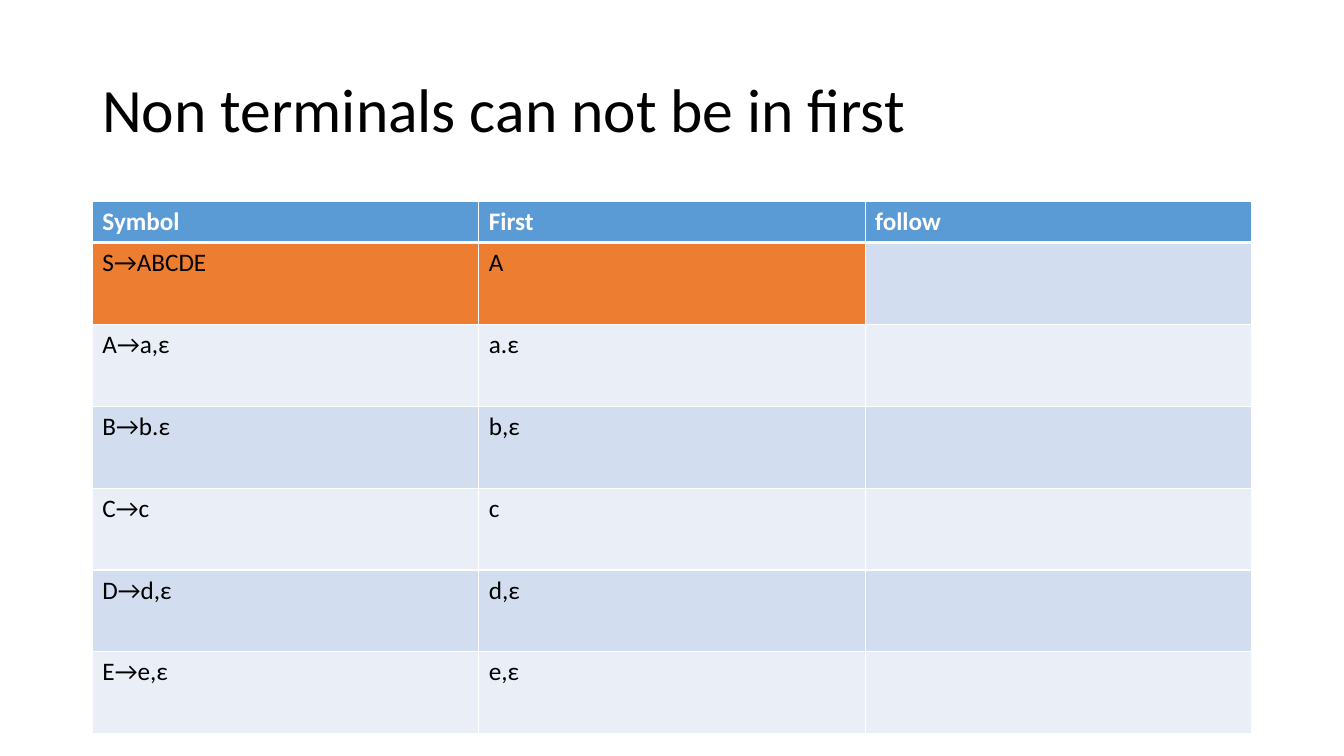
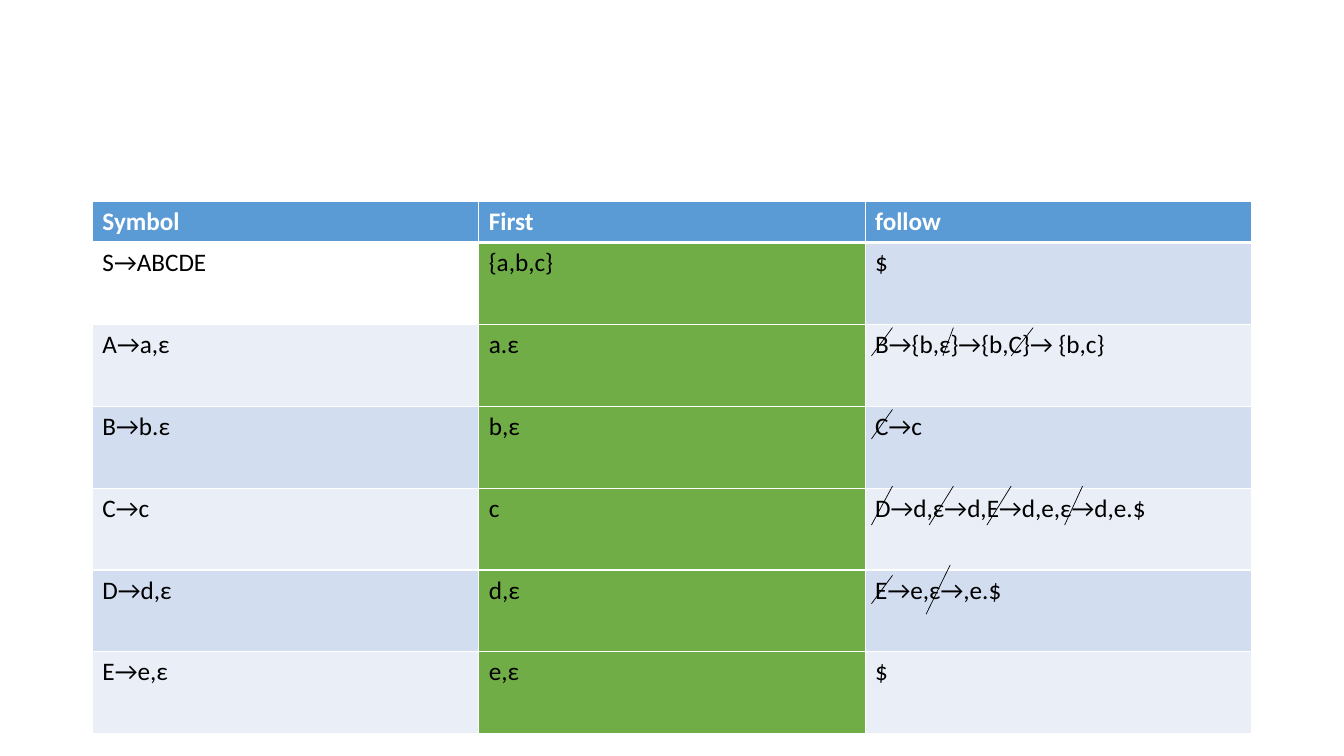
from lxml import etree
from pptx import Presentation, util as u
from pptx.dml.color import RGBColor
from pptx.enum import shapes, text
from pptx.oxml.ns import qn

PX = 9525  # 96 px to the inch
FONT = "Calibri"
BLACK = RGBColor(0, 0, 0)
WHITE = RGBColor(255, 255, 255)
BLUE = RGBColor(0x5B, 0x9B, 0xD5)
ORANGE = RGBColor(0xED, 0x7D, 0x31)
GREEN = RGBColor(0x70, 0xAD, 0x47)
BANDS = RGBColor(0xD2, 0xDE, 0xEF), RGBColor(0xEA, 0xEF, 0xF7)

TITLE = 88, 38, 1104, 139
GRID = 88, 192
COL, HEAD, ROW = 368, 39, 78

HEADS = "Symbol", "First", "follow"
RULES = "S→ABCDE", "A→a,ε", "B→b.ε", "C→c", "D→d,ε", "E→e,ε"
FIRSTS = "a.ε", "b,ε", "c", "d,ε", "e,ε"
FOLLOWS = ("$", "B→{b,ε}→{b,C}→ {b,c}", "C→c",
           "D→d,ε→d,E→d,e,ε→d,e.$", "E→e,ε→,e.$", "$")

# body row, top, bottom, then (upper x, lower x) of each stroke in the cell
STRIKES = (
    (1, 3, 30, ((26, 6), (84, 74), (160, 139))),
    (2, 3, 31, ((26, 6),)),
    (3, -2, 35, ((26, 6), (84, 61), (139, 116), (207, 190))),
    (4, 5, 32, ((26, 6),)),
    (4, -5, 42, ((81, 58),)),
)


def px(*nums):
    return [u.Emu(n * PX) for n in nums]


def style(para, size, color, bold=False):
    for run in para.runs:
        font = run.font
        font.name, font.size, font.bold = FONT, u.Pt(size), bold
        font.color.rgb = color


def title(slide, box, words):
    frame = slide.shapes.add_textbox(*px(*box)).text_frame
    frame.word_wrap = True
    frame.vertical_anchor = text.MSO_ANCHOR.MIDDLE
    frame.text = words
    para = frame.paragraphs[0]
    para.line_spacing = 0.9
    style(para, 44, BLACK)


def edge(cell, side, width):
    """Draw one white border of a cell, width in points."""
    props = cell._tc.get_or_add_tcPr()
    line = etree.SubElement(props, qn("a:ln" + side), w=str(u.Pt(width)))
    fill = etree.SubElement(line, qn("a:solidFill"))
    etree.SubElement(fill, qn("a:srgbClr"), val=str(WHITE))


def paint(cell, words, fill, head, below):
    for side, width in ("L", 1), ("R", 1), ("T", 3 if below else 1), ("B", 3 if head else 1):
        edge(cell, side, width)
    if fill is None:
        cell.fill.background()
    else:
        cell.fill.solid()
        cell.fill.fore_color.rgb = fill
    cell.text_frame.text = words
    style(cell.text_frame.paragraphs[0], 18, WHITE if head else BLACK, head)


def grid(slide, spot, firsts, follows, marks):
    """Build the symbol table; marks maps (row, column) to a special fill."""
    rows = [HEADS, *zip(RULES, firsts, follows)]
    size = COL * len(HEADS), HEAD + ROW * len(RULES)
    table = slide.shapes.add_table(len(rows), len(HEADS), *px(*spot, *size)).table
    table.first_row = table.horz_banding = False
    for col in table.columns:
        col.width = u.Emu(COL * PX)
    for r, row in enumerate(rows):
        table.rows[r].height = u.Emu((ROW if r else HEAD) * PX)
        for c, words in enumerate(row):
            band = BANDS[(r - 1) % 2] if r else BLUE
            paint(table.cell(r, c), words, marks.get((r, c), band), r == 0, r == 1)


def strike(slide, spot):
    """Cross out symbols in the follow column of the table at spot."""
    left = spot[0] + 2 * COL
    for row, top, low, pairs in STRIKES:
        y = spot[1] + HEAD + row * ROW
        for a, b in pairs:
            ends = px(left + a, y + top, left + b, y + low)
            line = slide.shapes.add_connector(shapes.MSO_CONNECTOR.STRAIGHT, *ends)
            line.line.color.rgb = BLACK
            line.line.width = u.Pt(0.5)
            etree.SubElement(line._element.spPr, qn("a:effectLst"))


def main():
    deck = Presentation()
    deck.slide_width, deck.slide_height = px(1280, 720)
    blank = deck.slide_layouts[6]

    slide = deck.slides.add_slide(blank)
    title(slide, TITLE, "Non terminals can not be in first")
    grid(slide, GRID, ("A", *FIRSTS), [""] * len(RULES), {(1, 0): ORANGE, (1, 1): ORANGE})

    slide = deck.slides.add_slide(blank)
    marks = {(r + 1, 1): GREEN for r in range(len(RULES))}
    grid(slide, GRID, ("{a,b,c}", *FIRSTS), FOLLOWS, {**marks, (1, 0): None})
    strike(slide, GRID)

    deck.save("out.pptx")


if __name__ == "__main__":
    main()
